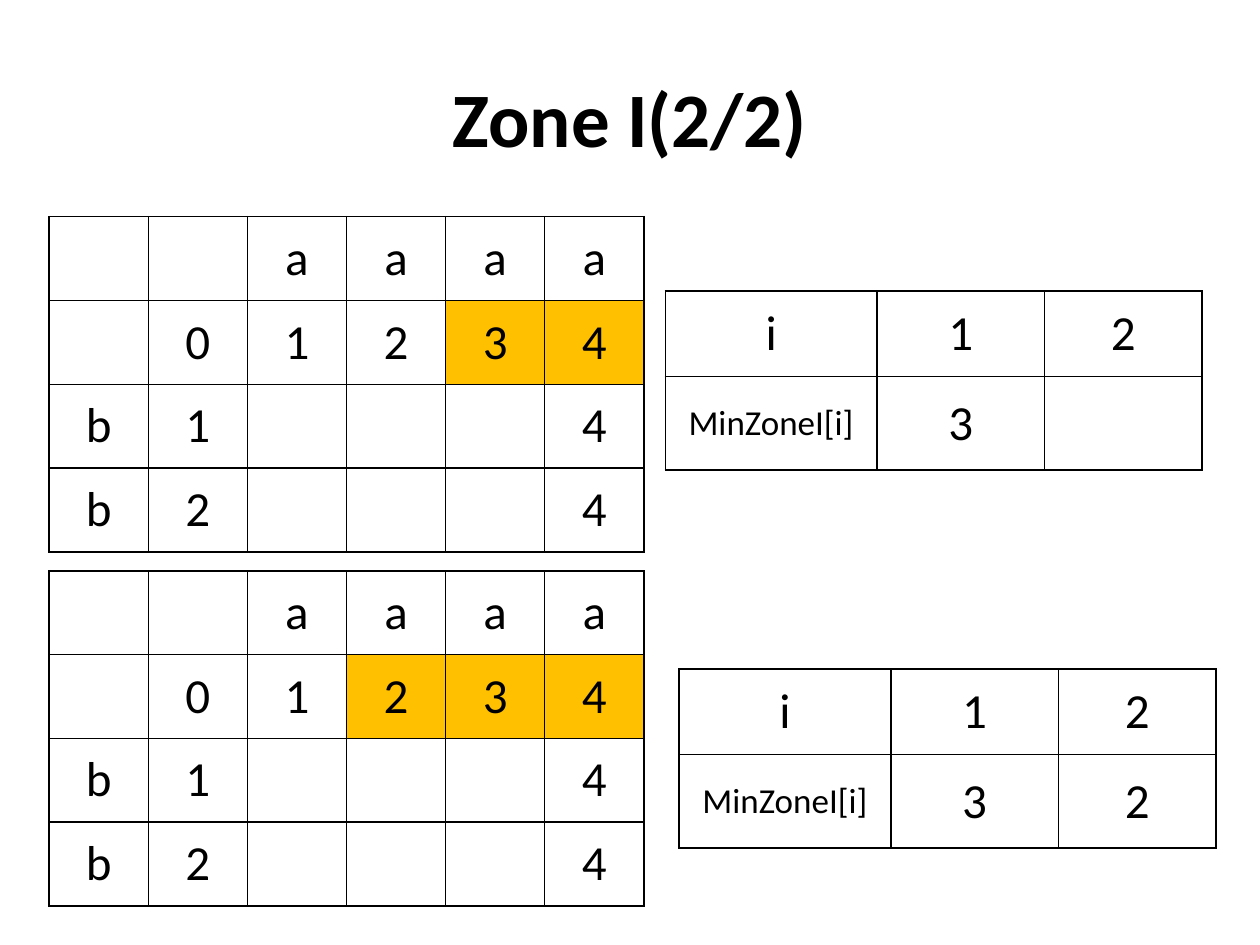
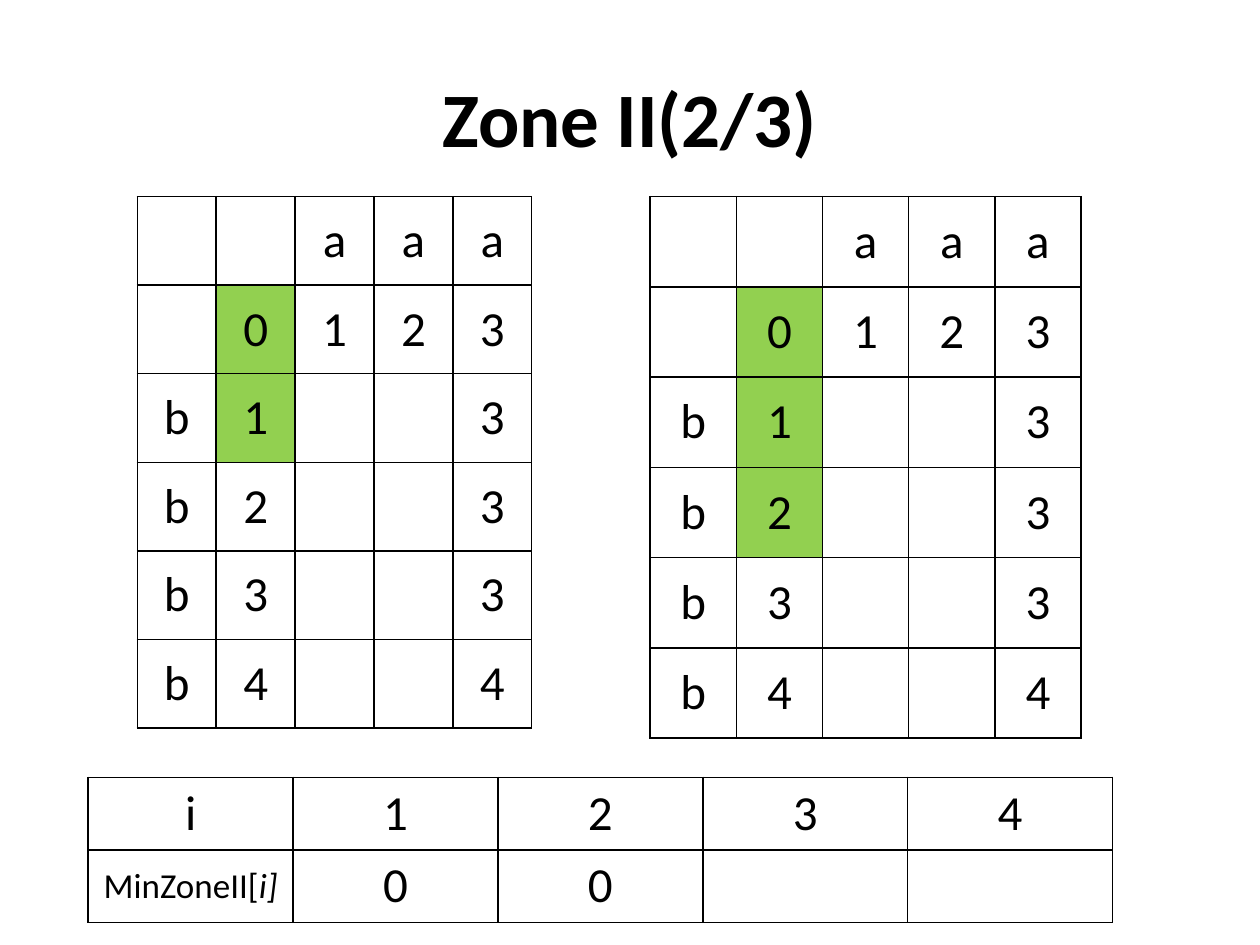
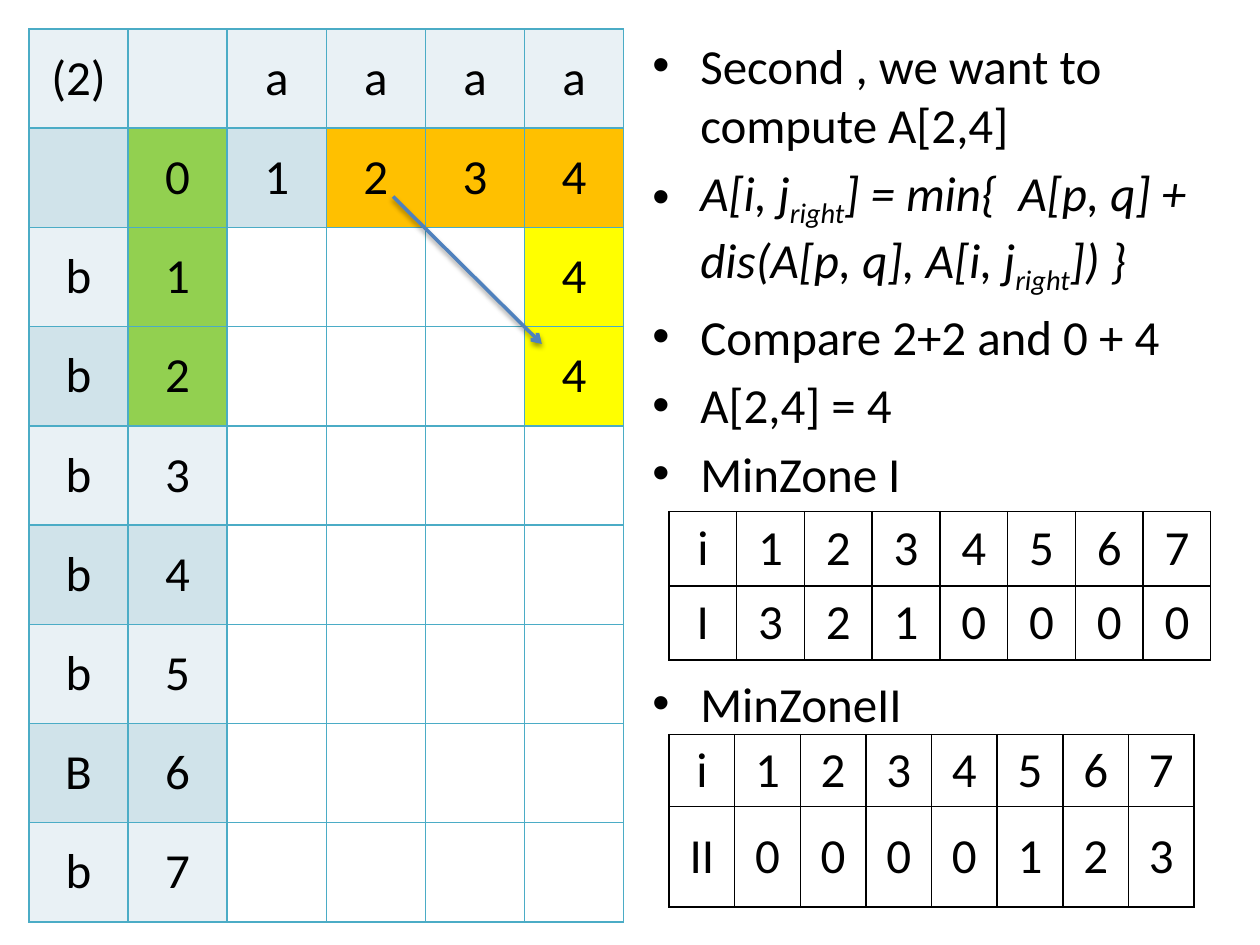
from pptx import Presentation
from pptx.dml.color import RGBColor
from pptx.enum.shapes import MSO_CONNECTOR
from pptx.enum.text import MSO_ANCHOR, PP_ALIGN
from pptx.oxml import parse_xml
from pptx.oxml.ns import nsdecls
from pptx.util import Inches, Pt

BLACK = RGBColor(0x00, 0x00, 0x00)
WHITE = RGBColor(0xFF, 0xFF, 0xFF)
ORANGE = RGBColor(0xFF, 0xC0, 0x00)
GREEN = RGBColor(0x92, 0xD0, 0x50)
YELLOW = RGBColor(0xFF, 0xFF, 0x00)
TEAL = RGBColor(0x4B, 0xAC, 0xC6)
BLUE = RGBColor(0x4F, 0x81, 0xBD)
BANDS = (RGBColor(0xE9, 0xF1, 0xF5), RGBColor(0xD0, 0xE3, 0xEA))


def write(para, text, size=28, bold=False, italic=False, baseline=0):
    """Add one formatted span to a paragraph."""
    span = para.add_run()
    span.text = text
    font = span.font
    font.name, font.size, font.bold, font.italic = "Calibri", Pt(size), bold, italic
    font.color.rgb = BLACK
    if baseline:
        span._r.get_or_add_rPr().set("baseline", str(baseline * 1000))


def write_all(para, content):
    """Write plain text, or a list of text and format pairs."""
    for text, style in [(content, {})] if isinstance(content, str) else content:
        if text:
            write(para, text, **style)


def distance_grid(down, across, last=()):
    """Return the rows of a distance matrix with its known last column."""
    rows = [["", "", *across], ["", *map(str, range(len(across) + 1))]]
    for number, letter in enumerate(down, 1):
        known = last[number - 1] if number <= len(last) else ""
        rows.append([letter, str(number), *[""] * (len(across) - 1), known])
    return rows


def marked(cells, colour):
    """Map every given cell to one fill colour."""
    return dict.fromkeys(cells, colour)


class ZoneDeck:
    """Hold the shared style and the current slide."""

    def __init__(self):
        self.deck = Presentation()
        self.deck.slide_width, self.deck.slide_height = Inches(10), Inches(7.5)
        self.page = None

    def new_page(self, title=None):
        """Start a blank page, with a title if one is given."""
        self.page = self.deck.slides.add_slide(self.deck.slide_layouts[6])
        if title:
            frame = self.text_frame(0.5, 0.3, 9, 1.25)
            frame.vertical_anchor = MSO_ANCHOR.MIDDLE
            para = frame.paragraphs[0]
            para.alignment = PP_ALIGN.CENTER
            write(para, title, size=44, bold=True)

    def text_frame(self, left, top, width, height):
        """Add a wrapping text box and return its frame."""
        box = self.page.shapes.add_textbox(*map(Inches, (left, top, width, height)))
        box.text_frame.word_wrap = True
        return box.text_frame

    def bullets(self, items, left, top, width, height):
        """Add a bulleted list of (content, space before) items."""
        frame = self.text_frame(left, top, width, height)
        for index, (content, space) in enumerate(items):
            para = frame.add_paragraph() if index else frame.paragraphs[0]
            properties = para._p.get_or_add_pPr()
            properties.set("marL", str(Inches(0.38)))
            properties.set("indent", str(Inches(-0.38)))
            properties.append(parse_xml(f'<a:buFont {nsdecls("a")} typeface="Arial"/>'))
            properties.append(parse_xml(f'<a:buChar {nsdecls("a")} char="•"/>'))
            if index:
                para.space_before = Pt(space)
            write_all(para, content)

    def table(self, rows, left, top, widths, heights, fills=None, border=BLACK):
        """Add a bordered table with centred text."""
        fills = fills or {}
        shape = self.page.shapes.add_table(
            len(rows), len(widths), Inches(left), Inches(top),
            Inches(sum(widths)), Inches(sum(heights)))
        table = shape.table
        table.first_row = table.horz_banding = False
        for column, width in zip(table.columns, widths):
            column.width = Inches(width)
        for row, height in zip(table.rows, heights):
            row.height = Inches(height)
        for r, row in enumerate(rows):
            for c, content in enumerate(row):
                self.cell(table.cell(r, c), content, fills.get((r, c), WHITE), border)

    def cell(self, cell, content, fill, border):
        """Format and fill one table cell."""
        cell.vertical_anchor = MSO_ANCHOR.MIDDLE
        properties = cell._tc.get_or_add_tcPr()
        for side in "LRTB":
            properties.append(parse_xml(
                f'<a:ln{side} {nsdecls("a")} w="{Pt(1)}"><a:solidFill>'
                f'<a:srgbClr val="{border}"/></a:solidFill></a:ln{side}>'))
        cell.fill.solid()
        cell.fill.fore_color.rgb = fill
        para = cell.text_frame.paragraphs[0]
        para.alignment = PP_ALIGN.CENTER
        write_all(para, content)

    def even_table(self, rows, left, top, width, height, **style):
        """Add a table whose columns and rows are all equal."""
        columns, count = len(rows[0]), len(rows)
        self.table(rows, left, top, [width / columns] * columns,
                   [height / count] * count, **style)

    def arrow(self, *ends):
        """Add a shadowed arrow between two points."""
        line = self.page.shapes.add_connector(MSO_CONNECTOR.STRAIGHT, *map(Inches, ends))
        line.line.color.rgb = BLUE
        line.line.width = Pt(2)
        line.line._get_or_add_ln().append(
            parse_xml(f'<a:tailEnd {nsdecls("a")} type="arrow"/>'))
        line._element.spPr.append(parse_xml(
            f'<a:effectLst {nsdecls("a")}><a:outerShdw blurRad="{Pt(3.1)}" '
            f'dist="{Pt(1.6)}" dir="5400000" rotWithShape="0"><a:srgbClr val="{BLACK}">'
            '<a:alpha val="38000"/></a:srgbClr></a:outerShdw></a:effectLst>'))


def zone_one(deck):
    """Build the page on the first zone."""
    deck.new_page("Zone I(2/2)")
    steps = [(1.72, 4, 5.28, 2.31, ""), (4.53, 3, 5.39, 5.31, "2")]
    for top, first, _, _, _ in steps:
        deck.even_table(distance_grid("bb", "aaaa", "44"), 0.39, top, 4.72, 2.66,
                        fills=marked([(1, c) for c in range(first, 6)], ORANGE))
    label = [("MinZoneI[i]", {"size": 20})]
    for _, _, left, top, second in steps:
        deck.table([["i", "1", "2"], [label, "3", second]], left, top,
                   [1.68, 1.33, 1.25], [0.68, 0.74])


def zone_two(deck):
    """Build the page on the second zone."""
    deck.new_page("Zone II(2/3)")
    label = [("MinZoneII[", {"size": 20}), ("i]", {"size": 20, "italic": True})]
    deck.even_table([["i", *"1234"], [label, "0", "0", "", ""]], 0.7, 6.17, 8.13, 1.15)
    for left, width, height, end in [(1.09, 3.13, 4.22, 3), (5.16, 3.42, 4.3, 4)]:
        deck.even_table(distance_grid("bbbb", "aaa", "3334"), left, 1.56, width, height,
                        fills=marked([(r, 1) for r in range(1, end)], GREEN))


def second_step(deck):
    """Build the page that computes A[2,4]."""
    deck.new_page()
    rows = distance_grid("bbbbbBb", "aaaa", "44")
    rows[0][0] = "(2)"
    fills = {(r, c): BANDS[r % 2] for r in range(9) for c in range(6) if r < 2 or c < 2}
    fills |= marked([(r, 1) for r in (1, 2, 3)], GREEN)
    fills |= marked([(1, c) for c in (3, 4, 5)], ORANGE)
    fills |= marked([(2, 5), (3, 5)], YELLOW)
    deck.even_table(rows, 0.23, 0.23, 4.72, 7.09, fills=fills, border=TEAL)
    deck.arrow(3.12, 1.56, 4.3, 2.73)
    slanted = {"italic": True}
    right = ("right", {"italic": True, "baseline": -25})
    formula = [("A[i, j", slanted), right,
               ("] = min{  A[p, q] + dis(A[p, q], A[i, j", slanted), right,
               ("]) }", slanted)]
    deck.bullets([("Second , we want to compute A[2,4]", 0), (formula, 5.6),
                  ("Compare 2+2 and 0 + 4", 5.6), ("A[2,4] = 4", 5.6),
                  ("MinZone I", 5.6), ("MinZoneII", 97.5)], 5.08, 0.23, 4.69, 6.95)
    header = ["i", *"1234567"]
    deck.even_table([header, ["I", *"3210000"]], 5.31, 4.06, 4.3, 1.18)
    deck.table([header, ["II", *"0000123"]], 5.31, 5.83, [4.17 / 8] * 8, [0.57, 0.8])


def main():
    """Build and save the three pages."""
    deck = ZoneDeck()
    zone_one(deck)
    zone_two(deck)
    second_step(deck)
    deck.deck.save("out.pptx")


if __name__ == "__main__":
    main()
